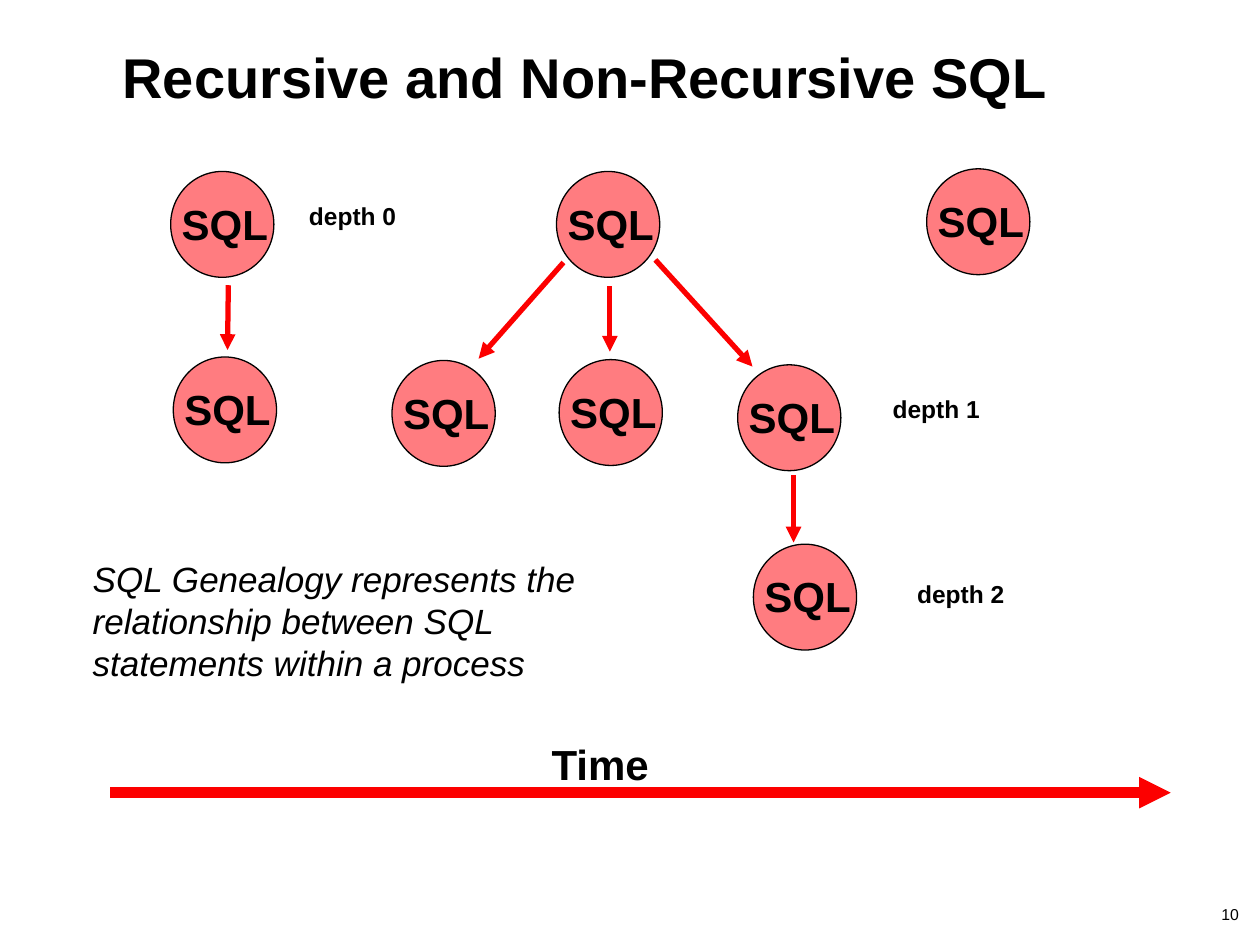
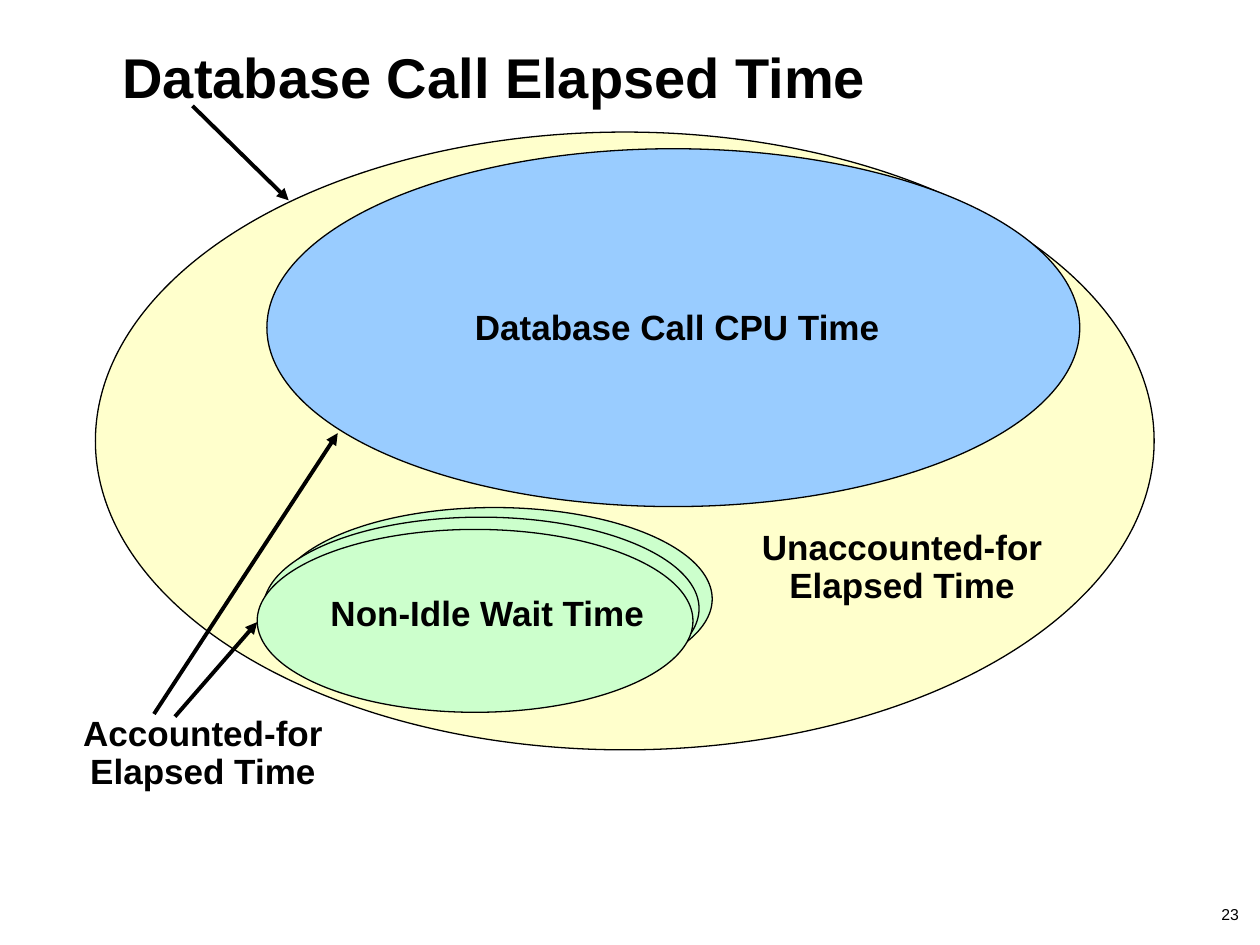
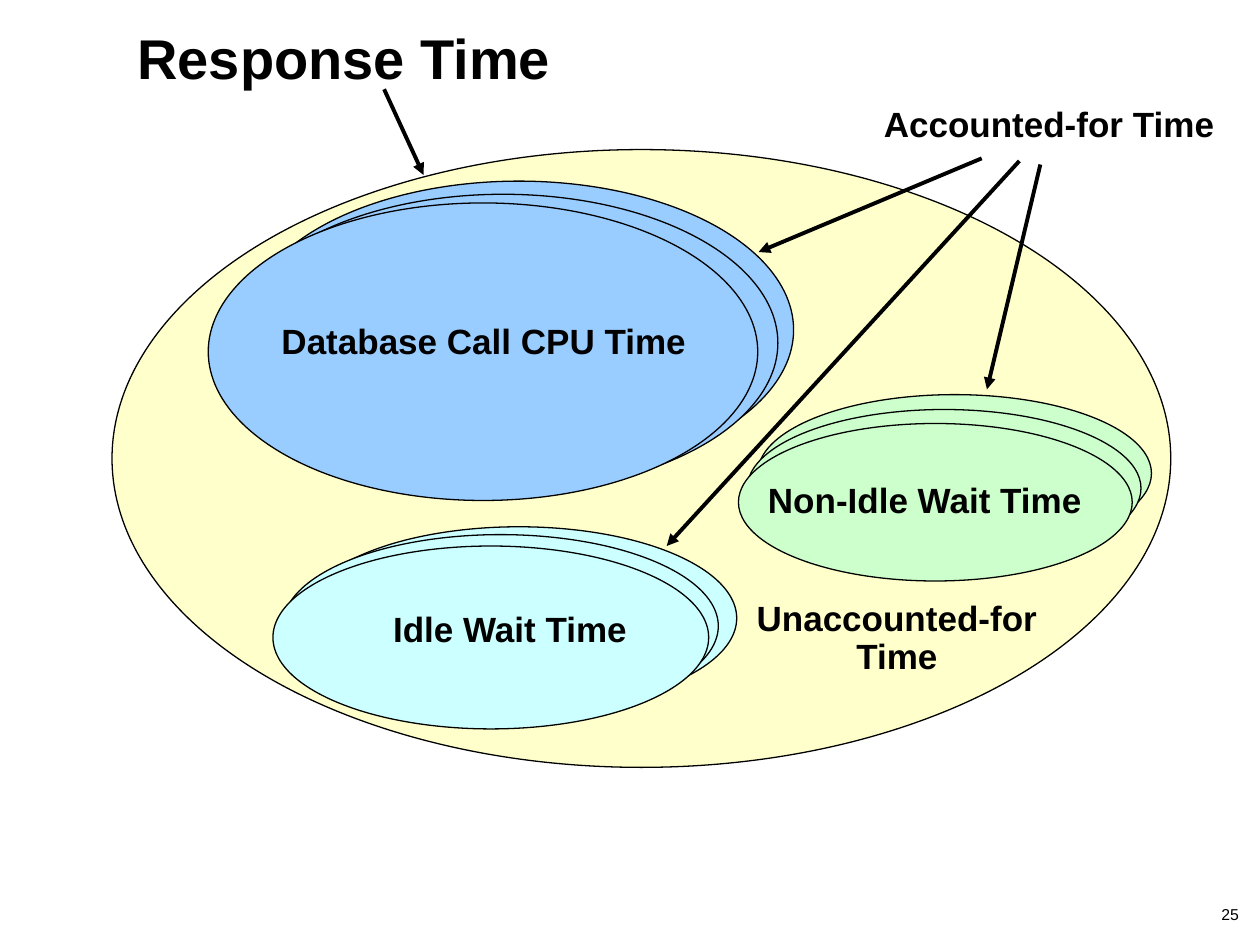
from lxml import etree
from pptx import Presentation
from pptx.dml.color import RGBColor
from pptx.enum.shapes import MSO_CONNECTOR, MSO_SHAPE
from pptx.enum.text import MSO_ANCHOR, MSO_AUTO_SIZE, PP_ALIGN
from pptx.oxml.ns import qn
from pptx.util import Pt

STRAIGHT = MSO_CONNECTOR.STRAIGHT
OVAL = MSO_SHAPE.OVAL
TOP, MIDDLE = MSO_ANCHOR.TOP, MSO_ANCHOR.MIDDLE
LEFT, CENTER, RIGHT = PP_ALIGN.LEFT, PP_ALIGN.CENTER, PP_ALIGN.RIGHT
FIT_SHAPE, NO_FIT = MSO_AUTO_SIZE.SHAPE_TO_FIT_TEXT, MSO_AUTO_SIZE.NONE

BLACK = RGBColor(0x00, 0x00, 0x00)
RED = RGBColor(0xFC, 0x00, 0x00)
PINK = RGBColor(0xFF, 0x7C, 0x80)
YELLOW = RGBColor(0xFF, 0xFF, 0xCC)
GREEN = RGBColor(0xCC, 0xFF, 0xCC)
BLUE = RGBColor(0x99, 0xCC, 0xFF)
CYAN = RGBColor(0xCC, 0xFF, 0xFF)

FONT = "Arial"
TITLE_ONLY = 5
WHOLE_SIZE = (605, 353)
WAIT_SIZE = (249, 104.5)


class Deck:
    """Holds the shared style and the slide being built."""

    def __init__(self):
        self.presentation = Presentation()
        self.presentation.slide_width = Pt(720)
        self.presentation.slide_height = Pt(540)
        self.slide = None

    def new_slide(self, title, number, left=70, top=24):
        layout = self.presentation.slide_layouts[TITLE_ONLY]
        self.slide = self.presentation.slides.add_slide(layout)
        shape = self.slide.shapes.title
        shape.left, shape.top = Pt(left), Pt(top)
        shape.width, shape.height = Pt(597), Pt(74)
        self.set_text(shape, title, 32, LEFT, bold=True)
        self.text(str(number), 12, 516, 696, 12.5, 9, RIGHT, anchor=MIDDLE)

    def set_text(self, shape, text, size, align, bold=False, italic=False,
                 anchor=TOP, margins=(0, 0)):
        frame = shape.text_frame
        frame.word_wrap = True
        frame.auto_size = NO_FIT
        frame.vertical_anchor = anchor
        frame.margin_left = frame.margin_right = Pt(margins[0])
        frame.margin_top = frame.margin_bottom = Pt(margins[1])
        frame.text = text
        paragraph = frame.paragraphs[0]
        paragraph.alignment = align
        font = paragraph.font
        font.name, font.size = FONT, Pt(size)
        font.bold, font.italic = bold, italic
        font.color.rgb = BLACK
        return frame

    def text(self, text, left, top, width, height, size, align, **style):
        shape = self.slide.shapes.add_textbox(
            Pt(left), Pt(top), Pt(width), Pt(height))
        return self.set_text(shape, text, size, align, **style)

    def label(self, text, left, top, width, height=29, size=20):
        """Bold centred caption with tight lines."""
        frame = self.text(text, left, top, width, height, size, CENTER,
                          bold=True, margins=(7.2, 3.6))
        frame.auto_size = FIT_SHAPE
        frame.paragraphs[0].line_spacing = 0.9

    def ellipse(self, left, top, size, fill):
        shape = self.slide.shapes.add_shape(
            OVAL, Pt(left), Pt(top), Pt(size[0]), Pt(size[1]))
        shape.shadow.inherit = False
        shape.fill.solid()
        shape.fill.fore_color.rgb = fill
        shape.line.color.rgb = BLACK
        shape.line.width = Pt(0.75)

    def stack(self, size, fill, *corners):
        """Overlapping ellipses, from back to front."""
        for left, top in corners:
            self.ellipse(left, top, size, fill)

    def statement(self, left, top):
        self.ellipse(left, top, (59, 60.5), PINK)
        self.label("SQL", left - 6.75, top + 15, 75.5, 33, 24)

    def arrow(self, start, end, color=BLACK, width=2.25):
        connector = self.slide.shapes.add_connector(
            STRAIGHT, *(Pt(value) for value in start + end))
        connector.line.color.rgb = color
        connector.line.width = Pt(width)
        properties = connector._element.spPr
        line = properties.find(qn("a:ln"))
        etree.SubElement(line, qn("a:tailEnd"), type="triangle")
        etree.SubElement(properties, qn("a:effectLst"))


deck = Deck()

# Slide 1: tree of SQL statements over a time axis
deck.new_slide("Recursive and Non-Recursive SQL", 10)
deck.arrow((63, 453), (669, 453), RED, 6)
deck.label("Time", 213, 422, 260, 33, 24)
for left, top in [(97.5, 98), (318, 98), (529.5, 96.5),
                  (99, 204), (224, 206), (319.5, 205.5), (421.5, 208.5),
                  (430.5, 311)]:
    deck.statement(left, top)
for start, end in [((130.5, 163), (130, 200)),
                   ((348.5, 163.5), (348.5, 201)),
                   ((453.5, 271.5), (453.5, 310)),
                   ((322, 150), (273.5, 205)),
                   ((374.5, 148.5), (430, 209.5))]:
    deck.arrow(start, end, RED, 3)
for depth, (left, top) in enumerate([(164, 113), (497.5, 223.5), (511.5, 329.5)]):
    deck.label(f"depth {depth}", left, top, 75, 22, 14)
deck.text("SQL Genealogy represents the relationship between SQL "
          "statements within a process",
          53, 318.5, 291, 91.5, 20, LEFT, italic=True)

# Slide 2: parts of the elapsed time of a database call
deck.new_slide("Database Call Elapsed Time", 23)
deck.ellipse(54.5, 75.5, WHOLE_SIZE, YELLOW)
deck.ellipse(152.5, 85, (464.5, 204.5), BLUE)
deck.stack(WAIT_SIZE, GREEN, (158, 290), (150.5, 295.5), (147, 302.5))
deck.label("Database Call CPU Time", 226, 174, 322)
deck.label("Non-Idle Wait Time", 161, 337, 235)
deck.label("Unaccounted-for Elapsed Time", 398, 299.5, 235, 50.5)
deck.label("Accounted-for Elapsed Time", 10.5, 406, 211, 50.5)
deck.arrow((88, 408), (193, 247.5))
deck.arrow((100, 409.5), (147, 355.5))
deck.arrow((110, 60.5), (165, 114.5))

# Slide 3: parts of the response time
deck.new_slide("Response Time", 25, 78.5, 13.5)
deck.ellipse(64, 85.5, WHOLE_SIZE, YELLOW)
deck.stack(WAIT_SIZE, CYAN, (172, 301), (161.5, 305.5), (156, 312))
deck.stack((225, 90), GREEN, (433, 225.5), (427, 234), (422, 242))
deck.stack((314, 170), BLUE, (139.5, 103.5), (130.5, 111), (119, 116))
deck.label("Idle Wait Time", 174, 346.5, 235)
deck.label("Unaccounted-for Time", 417.5, 340, 190, 50.5)
deck.label("Non-Idle Wait Time", 395.5, 272.5, 266)
deck.label("Database Call CPU Time", 143.5, 182, 266)
deck.label("Accounted-for Time", 494, 58, 211)
deck.arrow((219.5, 51), (242, 100))
deck.arrow((561, 90.5), (433.5, 144))
deck.arrow((594.5, 94), (564, 222.5))
deck.arrow((582.5, 92), (381, 312))

deck.presentation.save("out.pptx")
